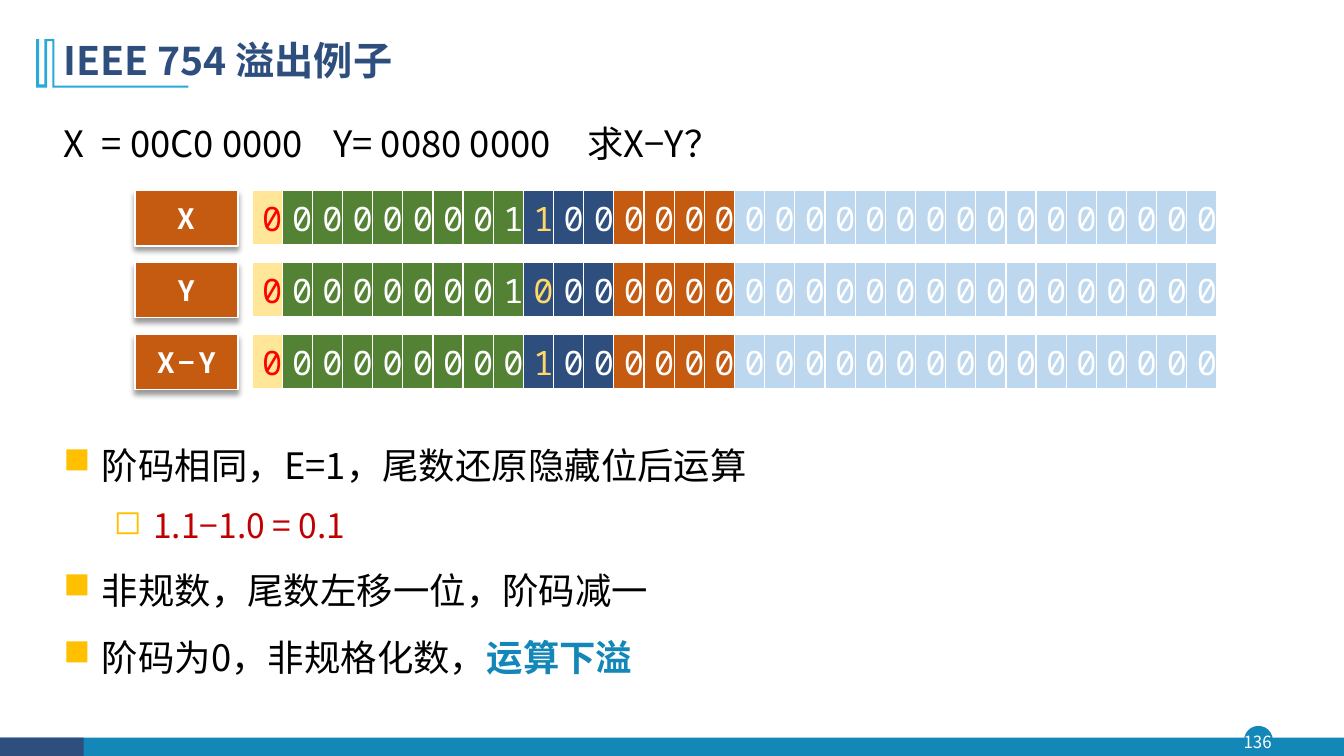
from lxml.etree import SubElement
from pptx import Presentation
from pptx.dml.color import RGBColor
from pptx.enum.shapes import MSO_SHAPE
from pptx.enum.text import MSO_ANCHOR, PP_ALIGN
from pptx.oxml.ns import qn
from pptx.util import Cm, Pt

COLORS = {
    "white": "FFFFFF", "black": "000000", "teal": "1387B7", "navy": "2E4E7E",
    "sky": "28A9D6", "orange": "C55A11", "green": "548235", "pale": "BDD7EE",
    "cream": "FFE699", "red": "FF0000", "yellow": "FFD966", "amber": "FFC000",
    "crimson": "C00000",
}
SANS = "Noto Sans CJK SC"
MONO = "Noto Sans Mono"


def color(name):
    return RGBColor.from_string(COLORS[name])


def write(para, text, size=26, ink="black", font=SANS, bold=False, spacing=0):
    span = para.add_run()
    span.text = text
    span.font.size = Pt(size)
    span.font.bold = bold
    span.font.name = font
    span.font.color.rgb = color(ink)
    properties = span.font._element
    SubElement(properties, qn("a:ea"), typeface=font)
    if spacing:
        properties.set("spc", str(spacing * 100))


def add_bullet(para, mark, left, hanging):
    properties = para._p.get_or_add_pPr()
    properties.set("marL", str(Cm(left)))
    properties.set("indent", str(-Cm(hanging)))
    tint = SubElement(properties, qn("a:buClr"))
    SubElement(tint, qn("a:srgbClr"), val=COLORS["amber"])
    SubElement(properties, qn("a:buChar"), char=mark)


def add_tabs(para, stops):
    tabs = SubElement(para._p.get_or_add_pPr(), qn("a:tabLst"))
    for stop in stops:
        SubElement(tabs, qn("a:tab"), pos=str(Cm(stop)), algn="l")


class Painter:
    def __init__(self, page):
        self.page = page

    def shape(self, kind, left, top, width, height, fill, line=None):
        box = self.page.shapes.add_shape(kind, Cm(left), Cm(top), Cm(width), Cm(height))
        box.shadow.inherit = False
        box.fill.solid()
        box.fill.fore_color.rgb = color(fill)
        if line:
            box.line.color.rgb = color(line)
            box.line.width = Pt(1)
        else:
            box.line.fill.background()
        return box

    def text(self, left, top, width, height, anchor=MSO_ANCHOR.TOP):
        box = self.page.shapes.add_textbox(Cm(left), Cm(top), Cm(width), Cm(height))
        frame = box.text_frame
        frame.word_wrap = True
        frame.vertical_anchor = anchor
        return frame

    def outline(self, points, fill):
        builder = self.page.shapes.build_freeform(*points[0], scale=Cm(0.01))
        builder.add_line_segments(points[1:], close=True)
        figure = builder.convert_to_shape()
        figure.shadow.inherit = False
        figure.fill.solid()
        figure.fill.fore_color.rgb = color(fill)
        figure.line.fill.background()

    def label(self, text, top):
        box = self.shape(MSO_SHAPE.RECTANGLE, 3.4, top, 2.6, 1.4, "orange", "white")
        effects = box._element.spPr.find(qn("a:effectLst"))
        shadow = SubElement(effects, qn("a:outerShdw"), blurRad=str(Pt(4)),
                            dist=str(Pt(3)), dir="5400000", algn="t", rotWithShape="0")
        tint = SubElement(shadow, qn("a:srgbClr"), val=COLORS["black"])
        SubElement(tint, qn("a:alpha"), val="40000")
        frame = box.text_frame
        frame.word_wrap = False
        frame.vertical_anchor = MSO_ANCHOR.MIDDLE
        frame.paragraphs[0].alignment = PP_ALIGN.CENTER
        write(frame.paragraphs[0], text, size=20, ink="white", bold=True, spacing=3)

    def bits(self, digits, top):
        count = len(digits)
        frame = self.page.shapes.add_table(
            1, count, Cm(6.35), Cm(top), Cm(0.76 * count), Cm(1.4))
        table = frame.table
        table.first_row = table.horz_banding = False
        fills = ["cream"] + ["green"] * 8 + ["navy"] * 3 + ["orange"] * 4 + ["pale"] * 16
        inks = {0: "red", 9: "yellow"}
        for index, (digit, fill) in enumerate(zip(digits, fills)):
            table.columns[index].width = Cm(0.76)
            cell = table.cell(0, index)
            cell.vertical_anchor = MSO_ANCHOR.MIDDLE
            write(cell.text_frame.paragraphs[0], digit, size=24, font=MONO,
                  ink=inks.get(index, "white"))
            properties = cell._tc.get_or_add_tcPr()
            for side, width in (("L", 1), ("R", 1), ("T", 1), ("B", 3)):
                border = SubElement(properties, qn(f"a:ln{side}"), w=str(Pt(width)))
                paint = SubElement(border, qn("a:solidFill"))
                SubElement(paint, qn("a:srgbClr"), val=COLORS["white"])
            cell.fill.solid()
            cell.fill.fore_color.rgb = color(fill)


def main():
    deck = Presentation()
    deck.slide_width, deck.slide_height = Cm(33.87), Cm(19.05)
    painter = Painter(deck.slides.add_slide(deck.slide_layouts[6]))

    painter.shape(MSO_SHAPE.OVAL, 31.37, 18.31, 0.69, 0.69, "teal", "teal")
    painter.shape(MSO_SHAPE.RECTANGLE, 0, 18.59, 33.87, 0.46, "teal")
    painter.shape(MSO_SHAPE.RECTANGLE, 0, 18.59, 2.11, 0.46, "navy")
    number = painter.text(31.29, 18.31, 0.81, 0.79, MSO_ANCHOR.MIDDLE)
    number.margin_left = number.margin_right = number.margin_top = number.margin_bottom = 0
    number.paragraphs[0].alignment = PP_ALIGN.CENTER
    write(number.paragraphs[0], "136", size=12, ink="white")

    painter.outline([
        (137, 99), (137, 216), (475, 216), (475, 221), (132, 221), (132, 104),
        (119, 104), (119, 221), (91, 221), (91, 99), (99, 99), (99, 213),
        (112, 213), (112, 99)], "sky")
    title = painter.text(1.35, 0.71, 29.21, 1.73, MSO_ANCHOR.MIDDLE)
    title.paragraphs[0].line_spacing = 0.9
    write(title.paragraphs[0], "IEEE 754 溢出例子", size=28, ink="navy", bold=True)

    question = painter.text(1.35, 2.92, 31.5, 1.6).paragraphs[0]
    add_tabs(question, (0.97, 6.8, 13.2))
    write(question, "X\t= 00C0 0000\tY= 0080 0000\t求X−Y？")

    rows = (
        ("X", "000000001100"),
        ("Y", "000000001000"),
        ("X−Y", "000000000100"),
    )
    for index, (name, leading) in enumerate(rows):
        top = 4.8 + 1.81 * index
        painter.bits(leading.ljust(32, "0"), top)
        painter.label(name, top)

    steps = (
        (0, [("阶码相同，E=1，尾数还原隐藏位后运算", {})]),
        (1, [("1.1−1.0 = 0.1", {"size": 24, "ink": "crimson"})]),
        (0, [("非规数，尾数左移一位，阶码减一", {})]),
        (0, [("阶码为0，非规格化数，", {}), ("运算下溢", {"ink": "teal", "bold": True})]),
    )
    levels = (("■", 0.97, 0.97, 10.5), ("◻", 2.26, 0.99, 7))
    frame = painter.text(1.35, 10.82, 31.5, 7.4)
    for index, (level, spans) in enumerate(steps):
        para = frame.add_paragraph() if index else frame.paragraphs[0]
        mark, left, hanging, before = levels[level]
        para.level = level
        add_bullet(para, mark, left, hanging)
        para.line_spacing = 1.2
        para.space_before = Pt(before if index else 0)
        for text, style in spans:
            write(para, text, **style)

    deck.save("out.pptx")


if __name__ == "__main__":
    main()
